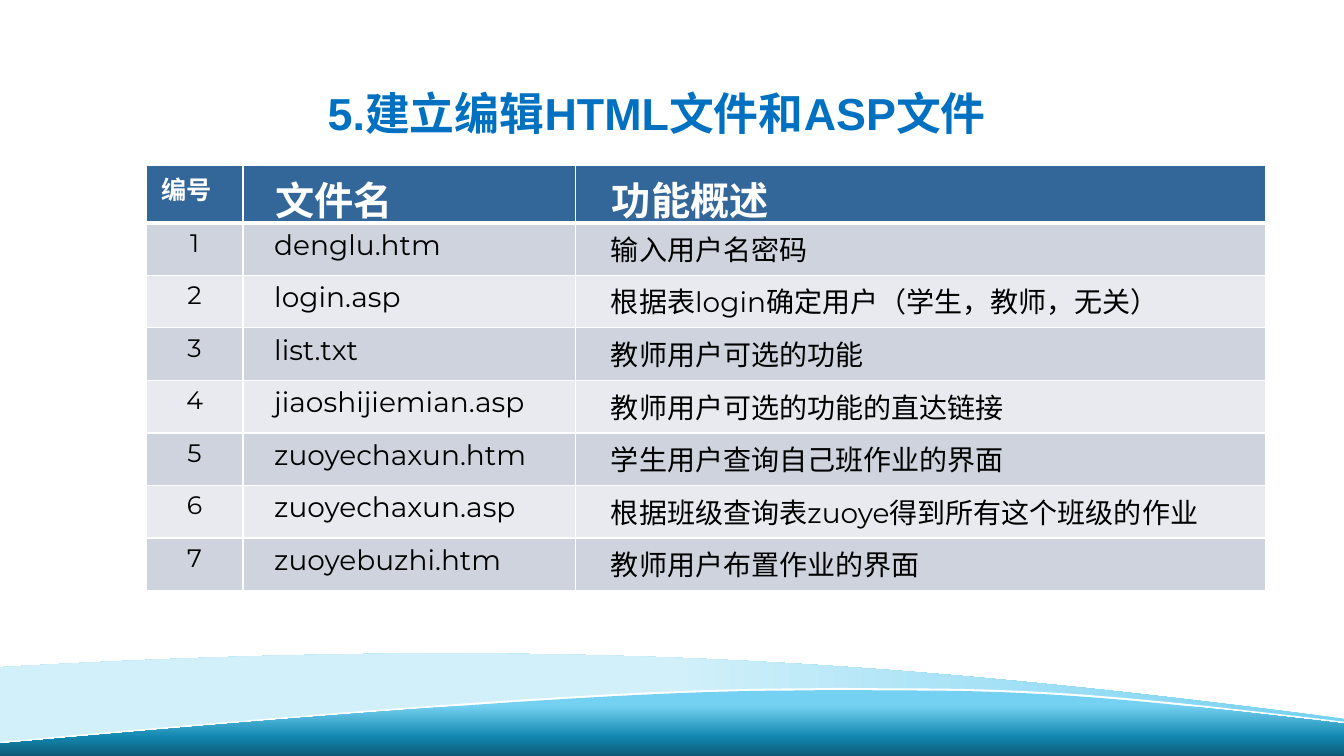
from copy import deepcopy

from lxml import etree
from pptx import Presentation
from pptx.dml.color import RGBColor
from pptx.enum.text import MSO_ANCHOR, PP_ALIGN
from pptx.oxml.ns import qn
from pptx.util import Inches, Pt

LEFT, CENTER = PP_ALIGN.LEFT, PP_ALIGN.CENTER
TOP = MSO_ANCHOR.TOP

WHITE = RGBColor(0xFF, 0xFF, 0xFF)
BLACK = RGBColor(0, 0, 0)
TITLE_BLUE = RGBColor(0x00, 0x70, 0xC0)
HEADER_BLUE = RGBColor(0x33, 0x66, 0x99)
BANDS = [RGBColor(0xCE, 0xD3, 0xDE), RGBColor(0xE8, 0xEA, 0xEF)]
SKY = RGBColor(0x75, 0xD1, 0xF1)
PALE = RGBColor(0xD1, 0xF0, 0xFA)
SEA = RGBColor(0x12, 0x87, 0xAF)
DEEP = RGBColor(0x0C, 0x5A, 0x75)

HEADERS = ["编号", "文件名", "功能概述"]
FILES = [
    ("denglu.htm", "输入用户名密码"),
    ("login.asp", "根据表login确定用户（学生，教师，无关）"),
    ("list.txt", "教师用户可选的功能"),
    ("jiaoshijiemian.asp", "教师用户可选的功能的直达链接"),
    ("zuoyechaxun.htm", "学生用户查询自己班作业的界面"),
    ("zuoyechaxun.asp", "根据班级查询表zuoye得到所有这个班级的作业"),
    ("zuoyebuzhi.htm", "教师用户布置作业的界面"),
]

# Curves as a start point followed by control, control, end triples,
# measured from the top of the wave
CREST = [(0, 0.53), (5.19, 0.06), (6.88, 0), (7.98, 0),
         (8.35, -0.01), (8.65, 0), (8.99, 0),
         (10.36, 0), (11.31, 0.09), (13.33, 0.33)]
BACK_TOP = [(0, 0.14), (5.92, -0.2), (9.33, 0.14), (13.33, 0.65)]
BACK_BOTTOM = [(13.33, 0.85), (8.72, -0.07), (4.83, 0.7), (0, 0.93)]


def add_step(path_el, tag, points):
    step = etree.SubElement(path_el, qn(f"a:{tag}"))
    for x, y in points:
        etree.SubElement(step, qn("a:pt"), x=str(Inches(x)), y=str(Inches(y)))


def add_wave(s, top, width, height, curves, stops, angle=0):
    """Draw curves, joined by straight lines, in a box at the left edge."""
    builder = s.shapes.build_freeform(0, Inches(top))
    builder.add_line_segments([(Inches(width), Inches(top)),
                               (Inches(width), Inches(top + height)),
                               (0, Inches(top + height))])
    sp = builder.convert_to_shape()
    sp.shadow.inherit = False
    sp.line.fill.background()

    # Replace the straight outline of the box with the curves
    path_el = next(sp._element.iter(qn("a:path")))
    for step in list(path_el):
        path_el.remove(step)
    for i, points in enumerate(curves):
        add_step(path_el, "lnTo" if i else "moveTo", points[:1])
        for j in range(1, len(points), 3):
            add_step(path_el, "cubicBezTo", points[j:j + 3])
    etree.SubElement(path_el, qn("a:close"))

    if len(stops) == 1:
        sp.fill.solid()
        sp.fill.fore_color.rgb = stops[0][1]
        return
    sp.fill.gradient()
    sp.fill.gradient_angle = angle
    stop_list = next(sp._element.spPr.iter(qn("a:gsLst")))
    while len(stop_list) < len(stops):
        stop_list.append(deepcopy(stop_list[-1]))
    for stop, (position, color) in zip(sp.fill.gradient_stops, stops):
        stop.position = position
        stop.color.rgb = color


def add_waves(s, top, width, height):
    # Pale wave behind
    add_wave(s, top, width, 0.93, [BACK_TOP, BACK_BOTTOM],
             [(0, SKY), (0.5, PALE), (1, PALE)], 180)
    # White highlight along the crest
    lower_edge = [(x, y + 0.1) for x, y in reversed(CREST)]
    add_wave(s, top + 0.35, width, 0.64, [CREST, lower_edge], [(0, WHITE)])
    # Deep wave in front
    depth = height - 0.37
    add_wave(s, top + 0.37, width, depth, [CREST, [(width, depth)], [(0, depth)]],
             [(0.23, SKY), (0.71, SEA), (1, DEEP)], 270)


def write(tf, text, align, color, **formats):
    p = tf.paragraphs[0]
    p.alignment = align
    r = p.add_run()
    r.text = text
    r.font.color.rgb = color
    for name, value in formats.items():
        setattr(r.font, name, value)


def add_title(s, left, top, width, height):
    tf = s.shapes.add_textbox(Inches(left), Inches(top), Inches(width), Inches(height)).text_frame
    tf.word_wrap = True
    tf.margin_left = Inches(0.6)
    write(tf, "5.建立编辑HTML文件和ASP文件", LEFT, TITLE_BLUE,
          name="Arial", size=Pt(32), bold=True)


def set_borders(cell, top, bottom):
    tcPr = cell._tc.get_or_add_tcPr()
    for side, points in (("L", 1), ("R", 1), ("T", top), ("B", bottom)):
        ln = etree.SubElement(tcPr, qn(f"a:ln{side}"), w=str(Pt(points)))
        fill = etree.SubElement(ln, qn("a:solidFill"))
        etree.SubElement(fill, qn("a:srgbClr"), val=str(WHITE))


def add_file_table(s, left, top, width, height):
    rows = [HEADERS] + [(str(n), *names) for n, names in enumerate(FILES, 1)]
    table = s.shapes.add_table(len(rows), len(HEADERS), Inches(left), Inches(top),
                               Inches(width), Inches(height)).table
    for column, size in zip(table.columns, (0.96, 3.3, width - 4.26)):
        column.width = Inches(size)
    header_height = 0.57
    row_height = (height - header_height) / len(FILES)
    for i, row in enumerate(rows):
        header = i == 0
        table.rows[i].height = Inches(header_height if header else row_height)
        indents = (0.15, 0.32, 0.36) if header else (0.1, 0.31, 0.35)
        sizes = (18, 28, 28) if header else (18, 20, 20)
        for j, text in enumerate(row):
            cell = table.cell(i, j)
            set_borders(cell, 3 if i == 1 else 1, 3 if header else 1)
            cell.fill.solid()
            cell.fill.fore_color.rgb = HEADER_BLUE if header else BANDS[(i - 1) % 2]
            cell.margin_left = Inches(indents[j])
            cell.vertical_anchor = TOP
            write(cell.text_frame, text, CENTER if j == 0 and not header else LEFT,
                  WHITE if header else BLACK,
                  name="Montserrat", size=Pt(sizes[j]), bold=header)


def main():
    prs = Presentation()
    prs.slide_width, prs.slide_height = Inches(13.33), Inches(7.5)
    s = prs.slides.add_slide(prs.slide_layouts[6])
    add_waves(s, 6.48, 13.33, 1.02)
    add_title(s, 2.65, 0.8, 9.99, 0.64)
    add_file_table(s, 1.45, 1.64, 11.1, 4.22)
    prs.save("out.pptx")


if __name__ == "__main__":
    main()
